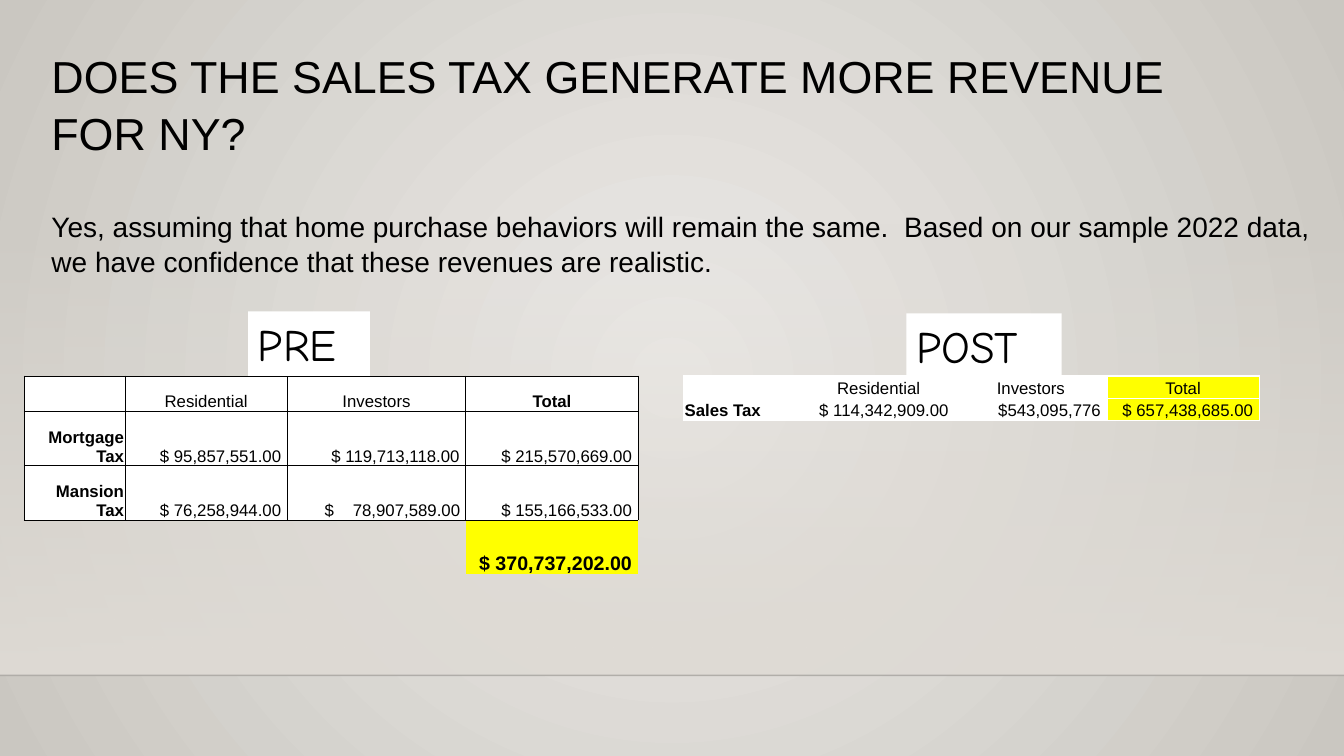
from lxml import etree
from pptx import Presentation
from pptx.dml.color import RGBColor
from pptx.enum.shapes import MSO_CONNECTOR, MSO_SHAPE
from pptx.enum.text import MSO_ANCHOR, MSO_AUTO_SIZE, PP_ALIGN
from pptx.oxml import parse_xml
from pptx.oxml.ns import nsdecls, qn
from pptx.util import Inches, Pt

# Content
TITLE = "DOES THE SALES TAX GENERATE MORE REVENUE FOR NY?"
BODY = [
    "Yes, assuming that home purchase behaviors will remain the same.  Based on our sample 2022 data,",
    "we have confidence that these revenues are realistic.",
]
PRE_ROWS = [
    ["", "Residential", "Investors", "Total"],
    ["Mortgage Tax", "$ 95,857,551.00", "$ 119,713,118.00", "$ 215,570,669.00"],
    ["Mansion Tax", "$ 76,258,944.00", "$\t78,907,589.00", "$ 155,166,533.00"],
    ["", "", "", "$ 370,737,202.00"],
]
POST_ROWS = [
    ["", "Residential", "Investors", "Total"],
    ["Sales Tax", "$ 114,342,909.00", "$543,095,776", "$ 657,438,685.00"],
]
PRE_COLS, PRE_HEIGHTS = [1, 1.61, 1.77, 1.71], [0.35, 0.54, 0.54, 0.54]
POST_COLS, POST_HEIGHTS = [1.18, 1.51, 1.51, 1.51], [0.22, 0.22]
LABELS = [("PRE", 2.46, 3.09, 1.21), ("POST", 8.99, 3.11, 1.54)]

BLACK = RGBColor(0x00, 0x00, 0x00)
WHITE = RGBColor(0xFF, 0xFF, 0xFF)
YELLOW = RGBColor(0xFF, 0xFF, 0x00)
GLOW = RGBColor(0xEC, 0xEA, 0xE7)
EDGE = RGBColor(0xCA, 0xC7, 0xC1)
FLOOR = RGBColor(0xDF, 0xDB, 0xD5)

WIDTH, HEIGHT = 13.33, 7.5
FLOOR_TOP, FLOOR_LINE = 2.21, 6.7
TEXT_LEFT, TABLE_TOP, LABEL_HEIGHT = 0.41, 3.73, 0.64
SIDES = ("L", "R", "T", "B")


def place(sp, left, top, width, height):
    sp.left, sp.top, sp.width, sp.height = map(Inches, (left, top, width, height))


def add_run(p, text, size, font="Arial", bold=False):
    r = p.add_run()
    r.text = text
    r.font.size, r.font.name, r.font.bold = Pt(size), font, bold
    r.font.color.rgb = BLACK


def set_gradient(fill, parent, start, end, shape, start_alpha=100):
    fill.solid()
    solid = next(parent.iter(qn("a:solidFill")))
    grad = parse_xml(
        f'<a:gradFill {nsdecls("a")} rotWithShape="1"><a:gsLst>'
        f'<a:gs pos="0"><a:srgbClr val="{start}"><a:alpha val="{start_alpha * 1000}"/></a:srgbClr></a:gs>'
        f'<a:gs pos="100000"><a:srgbClr val="{end}"/></a:gs></a:gsLst>{shape}</a:gradFill>')
    solid.getparent().replace(solid, grad)


def set_borders(cell, color, width, sides):
    tc_pr = cell._tc.get_or_add_tcPr()
    for i, side in enumerate(SIDES):
        ln = etree.Element(qn(f"a:ln{side}"), w=str(Pt(width)))
        if side in sides:
            paint = etree.SubElement(ln, qn("a:solidFill"))
            etree.SubElement(paint, qn("a:srgbClr"), val=str(color))
        else:
            etree.SubElement(ln, qn("a:noFill"))
        tc_pr.insert(i, ln)


def align_cell(cell, row, col, label_align):
    p = cell.text_frame.paragraphs[0]
    if row == 0:
        p.alignment = PP_ALIGN.CENTER
    elif col == 0:
        p.alignment = label_align
    elif "\t" in cell.text_frame.text:
        # The dollar sign stands apart from its amount
        p.alignment = PP_ALIGN.LEFT
        cell.margin_left = Inches(0.37)
        tabs = etree.SubElement(p._p.get_or_add_pPr(), qn("a:tabLst"))
        etree.SubElement(tabs, qn("a:tab"), pos=str(Inches(0.28)), algn="l")
    else:
        p.alignment = PP_ALIGN.RIGHT
        cell.margin_right = Inches(0.06)


def add_tax_table(s, left, rows, cols, heights, border, label_align, bold, yellow, bare=()):
    table = s.shapes.add_table(len(rows), len(cols), Inches(left), Inches(TABLE_TOP),
                               Inches(sum(cols)), Inches(sum(heights))).table
    table.first_row = table.horz_banding = False
    for column, width in zip(table.columns, cols):
        column.width = Inches(width)
    for i, row in enumerate(rows):
        table.rows[i].height = Inches(heights[i])
        for j, text in enumerate(row):
            cell = table.cell(i, j)
            cell.margin_left = cell.margin_right = cell.margin_top = Inches(0.01)
            cell.margin_bottom = 0
            cell.vertical_anchor = MSO_ANCHOR.BOTTOM
            p = cell.text_frame.paragraphs[0]
            if text:
                add_run(p, text, 14 if i in bare else 12, bold=(i, j) in bold)
                align_cell(cell, i, j, label_align)
            else:
                etree.SubElement(p._p, qn("a:endParaRPr"), sz="1200")
            if i in bare and not text:
                cell.fill.background()
            else:
                cell.fill.solid()
                cell.fill.fore_color.rgb = YELLOW if (i, j) in yellow else WHITE
            set_borders(cell, *border, "T" if i in bare else SIDES)


prs = Presentation()
prs.slide_width, prs.slide_height = Inches(WIDTH), Inches(HEIGHT)
s = prs.slides.add_slide(prs.slide_layouts[1])

# Background, floor panel and floor line
set_gradient(s.background.fill, s._element, GLOW, EDGE,
             '<a:path path="circle"><a:fillToRect l="50000" t="50000" r="50000" b="50000"/></a:path>')
floor = s.shapes.add_shape(MSO_SHAPE.RECTANGLE, 0, Inches(FLOOR_TOP),
                           prs.slide_width, Inches(FLOOR_LINE - FLOOR_TOP))
floor.shadow.inherit = False
floor.line.fill.background()
set_gradient(floor.fill, floor._element.spPr, FLOOR, FLOOR, '<a:lin ang="5400000" scaled="0"/>', 0)
line = s.shapes.add_connector(MSO_CONNECTOR.STRAIGHT, 0, Inches(FLOOR_LINE),
                              prs.slide_width, Inches(FLOOR_LINE))
line.line.width = Pt(1)
line.line.color.rgb = BLACK
shade = next(line._element.spPr.iter(qn("a:srgbClr")))
etree.SubElement(shade, qn("a:alpha"), val="20000")
etree.SubElement(line._element.spPr, qn("a:effectLst"))
for depth, sp in enumerate((floor, line), start=2):
    s.shapes._spTree.insert(depth, sp._element)

# Title and body
title, body = s.shapes.title, s.placeholders[1]
place(title, TEXT_LEFT, 0.41, 12.01, 1.18)
place(body, TEXT_LEFT, 2.01, 12.85, 0.77)
for sp, lines, size in ((title, [TITLE], 32), (body, BODY, 20)):
    tf = sp.text_frame
    tf.word_wrap = True
    tf.auto_size = MSO_AUTO_SIZE.NONE
    tf.vertical_anchor = MSO_ANCHOR.TOP
    for i, text in enumerate(lines):
        p = tf.add_paragraph() if i else tf.paragraphs[0]
        p.alignment = PP_ALIGN.LEFT
        p.line_spacing = 1.05
        p.space_before = Pt(0)
        p_pr = p._p.get_or_add_pPr()
        p_pr.set("marL", "0")
        p_pr.set("indent", "0")
        etree.SubElement(p_pr, qn("a:buNone"))
        add_run(p, text, size)

# Tables
add_tax_table(s, 0.24, PRE_ROWS, PRE_COLS, PRE_HEIGHTS, (BLACK, 0.5), PP_ALIGN.RIGHT,
              bold={(0, 3), (1, 0), (2, 0), (3, 3)}, yellow={(3, 3)}, bare={3})
add_tax_table(s, 6.78, POST_ROWS, POST_COLS, POST_HEIGHTS, (WHITE, 1), PP_ALIGN.LEFT,
              bold={(1, 0)}, yellow={(0, 3), (1, 3)})

# Labels above the tables
for text, left, top, width in LABELS:
    sp = s.shapes.add_shape(MSO_SHAPE.RECTANGLE, 0, 0, 0, 0)
    place(sp, left, top, width, LABEL_HEIGHT)
    sp.shadow.inherit = False
    sp.fill.solid()
    sp.fill.fore_color.rgb = WHITE
    sp.line.fill.background()
    tf = sp.text_frame
    tf.word_wrap = True
    tf.vertical_anchor = MSO_ANCHOR.TOP
    p = tf.paragraphs[0]
    p.alignment = PP_ALIGN.LEFT
    add_run(p, text, 32, "Comic Neue")

prs.save("out.pptx")
